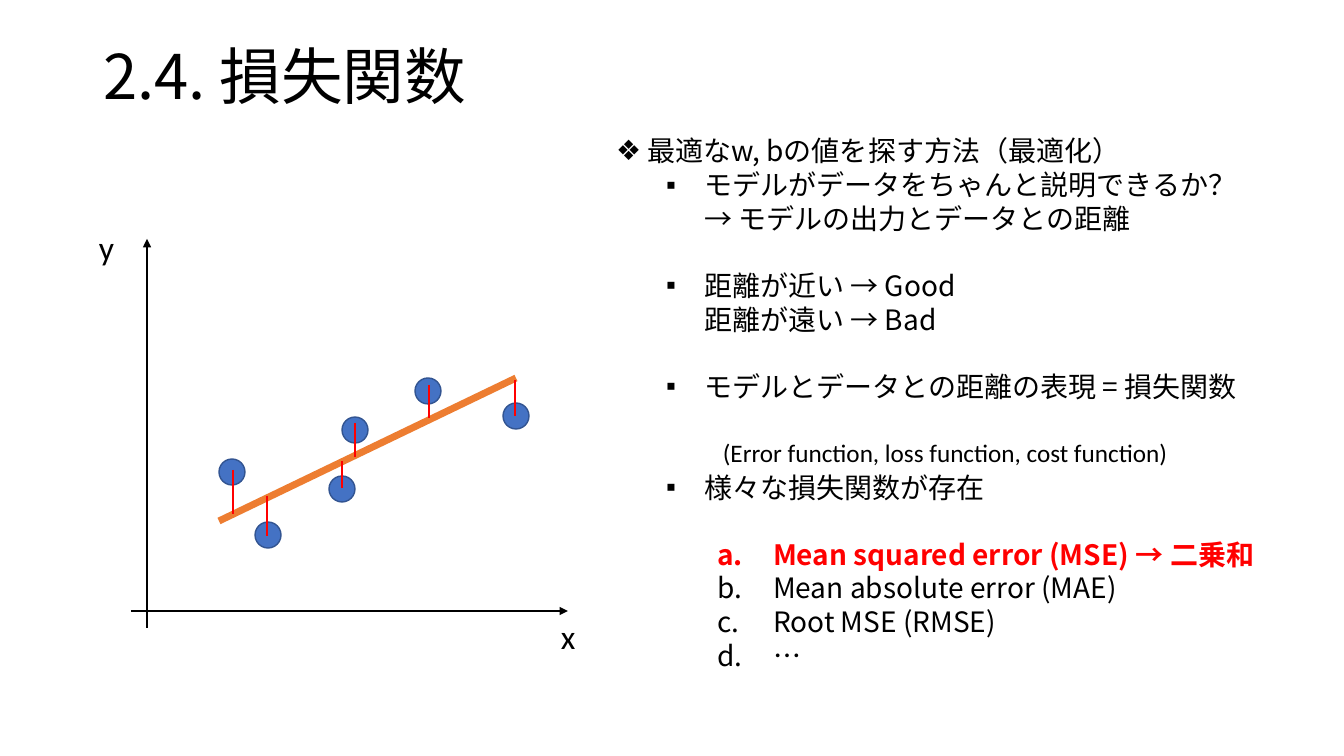
"""Build the loss function slide: a regression sketch beside a list of key points."""
from dataclasses import dataclass

from lxml import etree
from pptx import Presentation
from pptx import util as u
from pptx.dml.color import RGBColor
from pptx.enum import shapes, text
from pptx.oxml.ns import qn

PX = u.Inches(7.5) / 756
JAPANESE = "Noto Sans CJK JP"
LATIN = "Calibri"
BLACK, RED, BLUE, NAVY, ORANGE = "000000", "FF0000", "4472C4", "325491", "ED7D31"
DOT = 26


@dataclass(frozen=True)
class Observation:
    """A data point and the vertical line joining it to the model."""
    x: int
    y: int
    line_x: int
    line_top: int
    line_bottom: int


@dataclass(frozen=True)
class Line:
    """A straight line between two points."""
    x1: int
    y1: int
    x2: int
    y2: int
    color: str = BLACK
    width: int = 2
    arrow: bool = False


@dataclass(frozen=True)
class Label:
    """A short text with its box."""
    text: str
    left: int
    top: int
    width: int
    height: int
    size: int


@dataclass(frozen=True)
class Style:
    """The list level, marker and indents in px of a kind of item."""
    level: int
    marker: str
    margin: int
    hanging: int


@dataclass(frozen=True)
class Item:
    """A list entry with the space before it in points."""
    text: str
    style: Style
    before: int = 0
    highlighted: bool = False


TOPIC = Style(0, "❖", 31, 31)
POINT = Style(1, "▪", 88, 38)
LETTER = Style(2, "alphaLcPeriod", 157, 56)

ITEMS = [
    Item("最適なw, bの値を探す方法（最適化）", TOPIC),
    Item("モデルがデータをちゃんと説明できるか？\v→ モデルの出力とデータとの距離", POINT),
    Item("距離が近い → Good\v距離が遠い → Bad", POINT, 24),
    Item("モデルとデータとの距離の表現 = 損失関数", POINT, 24),
    Item("様々な損失関数が存在", POINT, 48),
    Item("Mean squared error (MSE) → 二乗和", LETTER, 24, True),
    Item("Mean absolute error (MAE)", LETTER),
    Item("Root MSE (RMSE)", LETTER),
    Item("…", LETTER),
]
OBSERVATIONS = [
    Observation(232, 472, 233, 470, 514),
    Observation(268, 535, 267, 496, 536),
    Observation(342, 489, 342, 461, 488),
    Observation(355, 430, 355, 423, 457),
    Observation(428, 391, 429, 385, 418),
    Observation(516, 416, 515, 380, 416),
]
AXES = [
    Line(131, 611, 568, 611, arrow=True),
    Line(147, 628, 147, 239, arrow=True),
]
MODEL = Line(219, 521, 516, 378, ORANGE, 5)
LABELS = [
    Label("x", 551, 611, 35, 50, 24),
    Label("y", 89, 222, 35, 50, 24),
    Label("(Error function, loss function, cost function)", 713, 432, 529, 40, 18),
]


def px(length: int) -> u.Emu:
    """Turn px into EMU."""
    return u.Emu(round(length * PX))


def rgb(color: str) -> RGBColor:
    """Turn a hex string into a colour."""
    return RGBColor.from_string(color)


def set_font(paragraph, name: str, size: int, color: str = BLACK, bold: bool = False) -> None:
    """Format a whole paragraph, East Asian characters included."""
    font = paragraph.font
    font.name, font.size, font.bold = name, u.Pt(size), bold
    font.color.rgb = rgb(color)
    properties = paragraph._p.pPr.find(qn("a:defRPr"))
    etree.SubElement(properties, qn("a:ea")).set("typeface", name)


def place(shape, left: int, top: int, width: int, height: int) -> None:
    """Move and size a placeholder."""
    shape.left, shape.top = px(left), px(top)
    shape.width, shape.height = px(width), px(height)


def set_marker(paragraph, style: Style) -> None:
    """Give a paragraph its level, indents and bullet or letter."""
    paragraph.level = style.level
    properties = paragraph._p.get_or_add_pPr()
    properties.set("marL", str(px(style.margin)))
    properties.set("indent", str(-px(style.hanging)))
    if style is LETTER:
        etree.SubElement(properties, qn("a:buAutoNum")).set("type", style.marker)
    else:
        etree.SubElement(properties, qn("a:buChar")).set("char", style.marker)


def write_title(shape) -> None:
    """Fill the title placeholder."""
    place(shape, 93, 35, 1159, 146)
    frame = shape.text_frame
    frame.auto_size = text.MSO_AUTO_SIZE.NONE
    frame.vertical_anchor = text.MSO_ANCHOR.TOP
    paragraph = frame.paragraphs[0]
    paragraph.text = "2.4. 損失関数"
    paragraph.alignment = text.PP_ALIGN.LEFT
    paragraph.line_spacing = u.Pt(51)
    set_font(paragraph, JAPANESE, 44)


def write_items(shape) -> None:
    """Fill the body placeholder with the list."""
    place(shape, 606, 127, 701, 553)
    frame = shape.text_frame
    frame.auto_size = text.MSO_AUTO_SIZE.NONE
    frame.vertical_anchor = text.MSO_ANCHOR.TOP
    frame.word_wrap = True
    frame.margin_top = px(7)
    for index, item in enumerate(ITEMS):
        paragraph = frame.add_paragraph() if index else frame.paragraphs[0]
        paragraph.text = item.text
        set_marker(paragraph, item.style)
        paragraph.line_spacing = u.Pt(24)
        paragraph.space_before = u.Pt(item.before)
        set_font(paragraph, JAPANESE, 20, RED if item.highlighted else BLACK, item.highlighted)


def draw_line(slide, line: Line) -> None:
    """Draw a straight line, with an arrowhead if asked."""
    connector = slide.shapes.add_connector(
        shapes.MSO_CONNECTOR.STRAIGHT, px(line.x1), px(line.y1), px(line.x2), px(line.y2))
    connector.line.color.rgb = rgb(line.color)
    connector.line.width = u.Pt(line.width)
    if line.arrow:
        outline = connector.line._get_or_add_ln()
        etree.SubElement(outline, qn("a:tailEnd")).set("type", "triangle")
    etree.SubElement(connector._element.spPr, qn("a:effectLst"))


def draw_dot(slide, observation: Observation) -> None:
    """Draw a data point."""
    dot = slide.shapes.add_shape(
        shapes.MSO_SHAPE.OVAL, px(observation.x - DOT // 2), px(observation.y - DOT // 2),
        px(DOT), px(DOT))
    dot.shadow.inherit = False
    dot.fill.solid()
    dot.fill.fore_color.rgb = rgb(BLUE)
    dot.line.color.rgb = rgb(NAVY)
    dot.line.width = u.Pt(1)


def draw_label(slide, label: Label) -> None:
    """Draw a text box."""
    box = slide.shapes.add_textbox(
        px(label.left), px(label.top), px(label.width), px(label.height))
    paragraph = box.text_frame.paragraphs[0]
    paragraph.text = label.text
    set_font(paragraph, LATIN, label.size)


def main() -> None:
    """Build and save the slide."""
    presentation = Presentation()
    presentation.slide_width, presentation.slide_height = px(1344), px(756)
    slide = presentation.slides.add_slide(presentation.slide_layouts[1])
    write_title(slide.shapes.title)
    write_items(slide.placeholders[1])
    for axis in AXES:
        draw_line(slide, axis)
    for observation in OBSERVATIONS:
        draw_dot(slide, observation)
    draw_line(slide, MODEL)
    for o in OBSERVATIONS:
        draw_line(slide, Line(o.line_x, o.line_top, o.line_x, o.line_bottom, RED))
    for label in LABELS:
        draw_label(slide, label)
    presentation.save("out.pptx")


if __name__ == "__main__":
    main()
